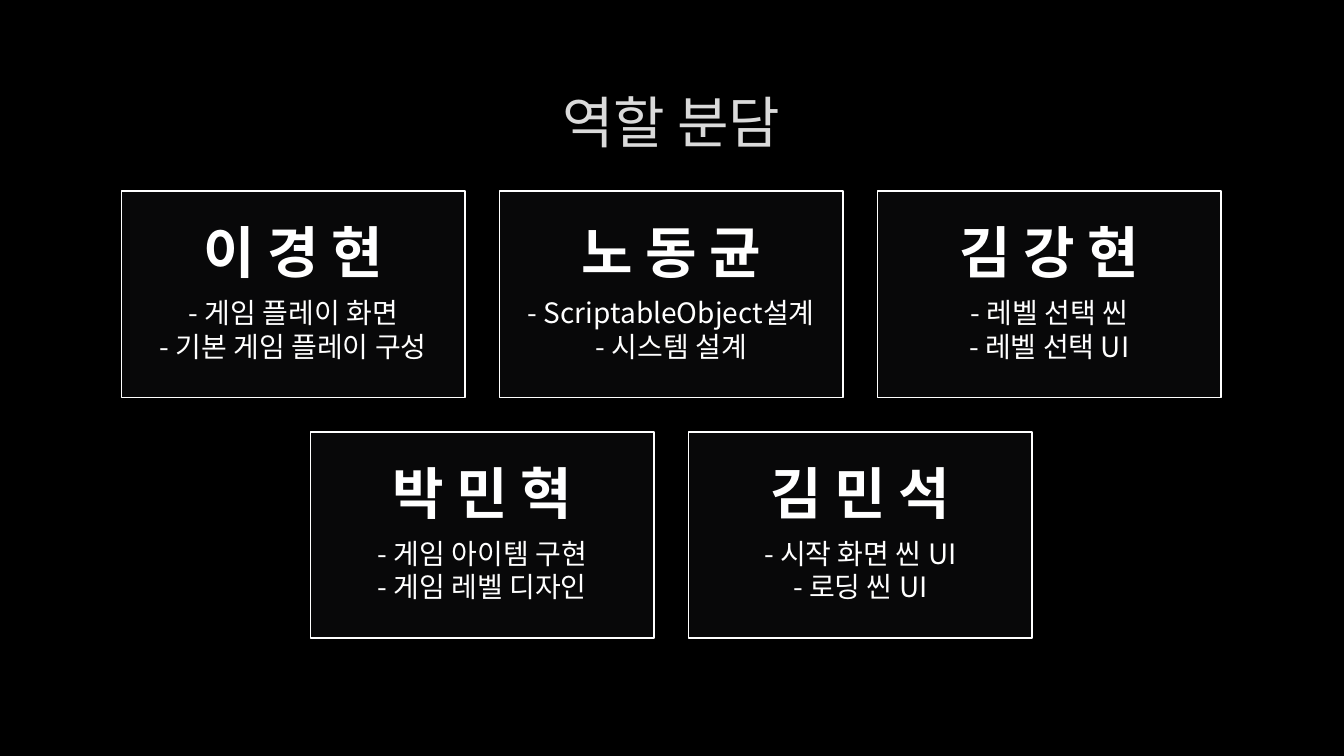
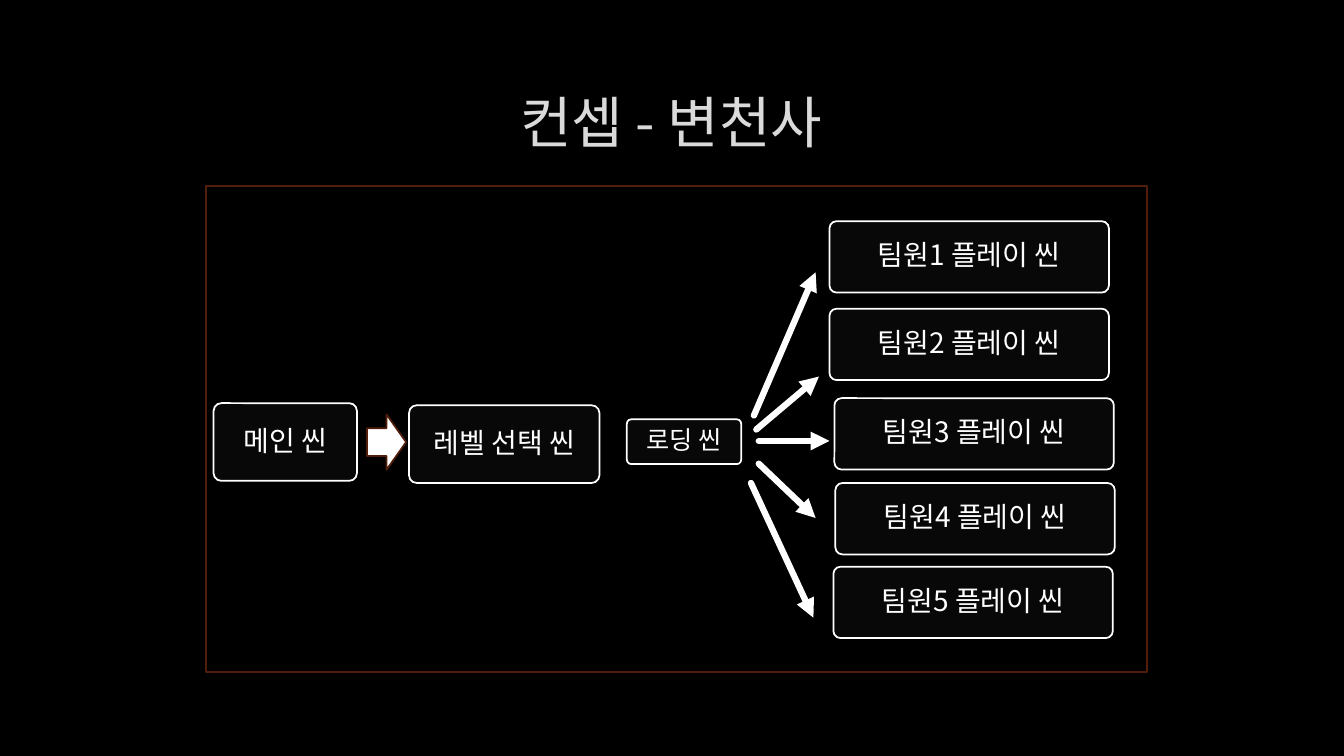
from lxml import etree
from pptx import Presentation
from pptx.dml.color import RGBColor
from pptx.enum.shapes import MSO_CONNECTOR, MSO_SHAPE
from pptx.enum.text import MSO_ANCHOR, PP_ALIGN
from pptx.oxml.ns import qn
from pptx.util import Pt

RECTANGLE = MSO_SHAPE.RECTANGLE
ROUNDED = MSO_SHAPE.ROUNDED_RECTANGLE
RIGHT_ARROW = MSO_SHAPE.RIGHT_ARROW
STRAIGHT = MSO_CONNECTOR.STRAIGHT
MIDDLE = MSO_ANCHOR.MIDDLE
CENTER = PP_ALIGN.CENTER

BLACK = RGBColor(0x00, 0x00, 0x00)
PANEL = RGBColor(0x08, 0x08, 0x09)
WHITE = RGBColor(0xFF, 0xFF, 0xFF)
TITLE_GRAY = RGBColor(0xDA, 0xDA, 0xDA)
RUST = RGBColor(0x52, 0x1E, 0x0C)
FONT = "Noto Sans CJK KR"

ROLES_TITLE = "역할 분담"
ROLE_ROWS = [
    [
        ("이 경 현", ["- 게임 플레이 화면", "- 기본 게임 플레이 구성"]),
        ("노 동 균", ["- ScriptableObject설계", "- 시스템 설계"]),
        ("김 강 현", ["- 레벨 선택 씬", "- 레벨 선택 UI"]),
    ],
    [
        ("박 민 혁", ["- 게임 아이템 구현", "- 게임 레벨 디자인"]),
        ("김 민 석", ["- 시작 화면 씬 UI", "- 로딩 씬 UI"]),
    ],
]
CARD_WIDTH, CARD_HEIGHT, CARD_GAP = 245.5, 147.5, 24.5
CARDS_CENTER, CARDS_TOP = 479.5, 136.5

CONCEPT_TITLE = "컨셉 - 변천사"
FRAME = (147, 133, 672.5, 347)
FLOW_ARROW = (262.1, 296, 28, 39.6)
SCENES = [
    ("메인 씬", 20, (152.6, 288, 102.4, 55.5)),
    ("레벨 선택 씬", 20, (292.2, 289.5, 136, 55.5)),
    ("로딩 씬", 18, (447.8, 299.5, 81.7, 32)),
]
PLAY_SCENE_CORNERS = [
    (592.5, 158), (592.5, 220.5), (596, 284.4), (596.7, 345), (595.3, 404.8),
]
PLAY_SCENE_SIZE = (199.6, 51)
BRANCHES = [
    ((538.5, 296.8), (582.6, 194.5)),
    ((540.2, 306.8), (585, 269)),
    ((542, 315), (592.5, 315)),
    ((542, 331.2), (582.6, 370)),
    ((536.4, 345), (581, 441.2)),
]


def style_paragraph(paragraph, text, size, color=WHITE, bold=False, space_after=0):
    paragraph.text = text
    paragraph.alignment = CENTER
    paragraph.space_after = Pt(space_after)
    font = paragraph.font
    font.name = FONT
    font.size = Pt(size)
    font.bold = bold
    font.fill.solid()
    font.fill.fore_color.rgb = color
    properties = paragraph._p.get_or_add_pPr().find(qn("a:defRPr"))
    etree.SubElement(properties, qn("a:ea"), typeface=FONT)


def prepare_frame(shape, inset):
    frame = shape.text_frame
    frame.word_wrap = True
    frame.vertical_anchor = MIDDLE
    frame.margin_left = frame.margin_right = Pt(inset)
    frame.margin_top = frame.margin_bottom = Pt(inset)
    return frame


def add_titled_slide(presentation, title):
    slide = presentation.slides.add_slide(presentation.slide_layouts[6])
    slide.background.fill.solid()
    slide.background.fill.fore_color.rgb = BLACK
    box = slide.shapes.add_textbox(Pt(72), Pt(48.2), Pt(815), Pt(76.3))
    frame = prepare_frame(box, 4)
    style_paragraph(frame.paragraphs[0], title, 40, TITLE_GRAY)
    return slide


def add_panel(slide, kind, bounds, fill=PANEL, line=WHITE):
    shape = slide.shapes.add_shape(kind, *map(Pt, bounds))
    shape.shadow.inherit = False
    shape.fill.solid()
    shape.fill.fore_color.rgb = fill
    shape.line.color.rgb = line
    shape.line.width = Pt(1.25)
    return shape


def add_role_card(slide, left, top, name, tasks):
    card = add_panel(slide, RECTANGLE, (left, top, CARD_WIDTH, CARD_HEIGHT))
    frame = prepare_frame(card, 12)
    style_paragraph(frame.paragraphs[0], name, 40, bold=True, space_after=9.5)
    frame.paragraphs[0].line_spacing = 0.9
    for task in tasks:
        paragraph = frame.add_paragraph()
        style_paragraph(paragraph, task, 20, space_after=2.5)
        paragraph.line_spacing = 0.9


def add_scene(slide, text, size, bounds):
    scene = add_panel(slide, ROUNDED, bounds)
    scene.adjustments[0] = 0.1
    paragraph = prepare_frame(scene, 4).paragraphs[0]
    style_paragraph(paragraph, text, size, space_after=2.5)
    paragraph.line_spacing = 0.9


def add_branch(slide, start, end):
    connector = slide.shapes.add_connector(STRAIGHT, *map(Pt, start + end))
    connector.line.color.rgb = WHITE
    connector.line.width = Pt(4.5)
    line = connector.line._get_or_add_ln()
    line.set("cap", "rnd")
    etree.SubElement(line, qn("a:tailEnd"), type="triangle")
    etree.SubElement(connector._element.spPr, qn("a:effectLst"))


def build_roles(presentation):
    slide = add_titled_slide(presentation, ROLES_TITLE)
    for row_index, row in enumerate(ROLE_ROWS):
        row_width = len(row) * (CARD_WIDTH + CARD_GAP) - CARD_GAP
        top = CARDS_TOP + row_index * (CARD_HEIGHT + CARD_GAP)
        for column, (name, tasks) in enumerate(row):
            left = CARDS_CENTER - row_width / 2 + column * (CARD_WIDTH + CARD_GAP)
            add_role_card(slide, left, top, name, tasks)


def build_concept(presentation):
    slide = add_titled_slide(presentation, CONCEPT_TITLE)
    add_panel(slide, RECTANGLE, FRAME, BLACK, RUST)
    add_panel(slide, RIGHT_ARROW, FLOW_ARROW, WHITE, RUST)
    for text, size, bounds in SCENES:
        add_scene(slide, text, size, bounds)
    for number, corner in enumerate(PLAY_SCENE_CORNERS, 1):
        add_scene(slide, f"팀원{number} 플레이 씬", 20, corner + PLAY_SCENE_SIZE)
    for start, end in BRANCHES:
        add_branch(slide, start, end)


def main():
    presentation = Presentation()
    presentation.slide_width = Pt(960)
    presentation.slide_height = Pt(540)
    build_roles(presentation)
    build_concept(presentation)
    presentation.save("out.pptx")


if __name__ == "__main__":
    main()
